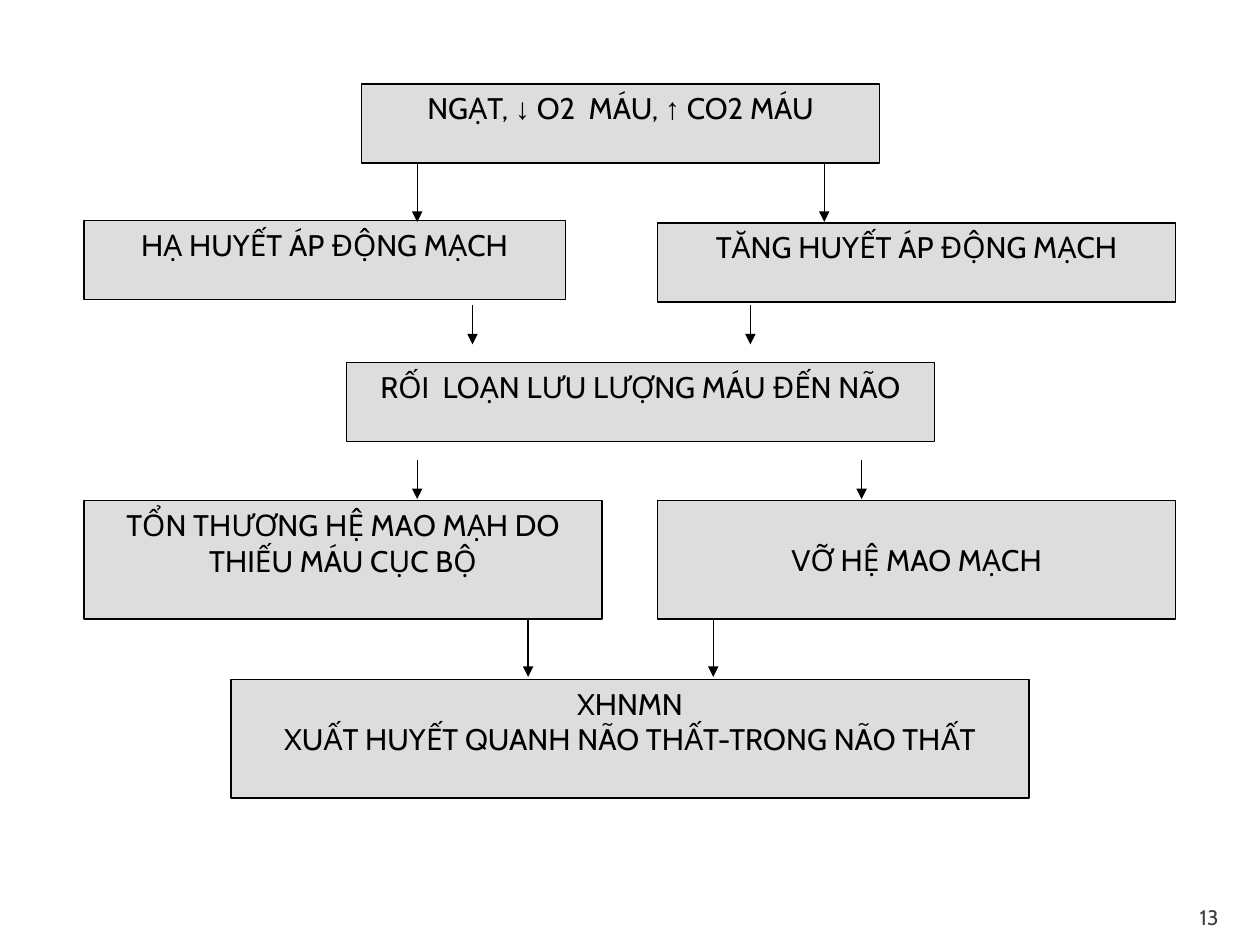
from dataclasses import dataclass

from lxml import etree
from pptx import Presentation
from pptx import util as u
from pptx.dml.color import RGBColor
from pptx.enum import shapes, text
from pptx.oxml import ns

Pt = u.Pt


def color(hex_string):
    return RGBColor.from_string(hex_string)


@dataclass
class FlowChart:
    slide: object
    font: str = "Cabin"
    symbol_font: str = "Arial"
    ink: str = "000000"
    box_fill: str = "DDDDDD"
    number_ink: str = "3F3F3F"
    text_size: float = 17
    number_size: float = 12
    line_width: float = 0.75

    def fill_text(self, frame, paragraphs, size, ink, align, anchor):
        """Each paragraph is a list of runs, each run a (words, font) pair."""
        frame.word_wrap = True
        frame.vertical_anchor = anchor
        frame.margin_left = frame.margin_right = Pt(7.2)
        frame.margin_top = frame.margin_bottom = Pt(3.6)
        for index, runs in enumerate(paragraphs):
            paragraph = frame.add_paragraph() if index else frame.paragraphs[0]
            paragraph.alignment = align
            for words, font in runs:
                run = paragraph.add_run()
                run.text = words
                run.font.name = font
                run.font.size = Pt(size)
                run.font.color.rgb = color(ink)

    def split_symbols(self, line):
        """Arrows are set in the symbol font, everything else in the main one."""
        runs = []
        for character in line:
            font = self.symbol_font if character in "↓↑" else self.font
            if runs and runs[-1][1] == font:
                runs[-1] = (runs[-1][0] + character, font)
            else:
                runs.append((character, font))
        return runs

    def box(self, left, top, width, height, lines, anchor=text.MSO_ANCHOR.TOP):
        shape = self.slide.shapes.add_shape(
            shapes.MSO_SHAPE.RECTANGLE, Pt(left), Pt(top), Pt(width), Pt(height))
        shape.shadow.inherit = False
        shape.fill.solid()
        shape.fill.fore_color.rgb = color(self.box_fill)
        shape.line.color.rgb = color(self.ink)
        shape.line.width = Pt(self.line_width)
        self.fill_text(shape.text_frame, [self.split_symbols(line) for line in lines],
                       self.text_size, self.ink, text.PP_ALIGN.CENTER, anchor)

    def down_arrow(self, x, top, bottom):
        connector = self.slide.shapes.add_connector(
            shapes.MSO_CONNECTOR.STRAIGHT, Pt(x), Pt(top), Pt(x), Pt(bottom))
        connector.line.color.rgb = color(self.ink)
        connector.line.width = Pt(self.line_width)
        properties = connector._element.spPr
        line = properties.find(ns.qn("a:ln"))
        etree.SubElement(line, ns.qn("a:tailEnd"), type="triangle")
        etree.SubElement(properties, ns.qn("a:effectLst"))

    def page_number(self, left, top, width, height, number):
        shape = self.slide.shapes.add_textbox(Pt(left), Pt(top), Pt(width), Pt(height))
        self.fill_text(shape.text_frame, [[(number, self.font)]], self.number_size,
                       self.number_ink, text.PP_ALIGN.RIGHT, text.MSO_ANCHOR.BOTTOM)
        shape.text_frame.margin_bottom = Pt(0)


def main():
    presentation = Presentation()
    presentation.slide_width, presentation.slide_height = Pt(720), Pt(540)
    chart = FlowChart(presentation.slides.add_slide(presentation.slide_layouts[6]))

    # Page number
    chart.page_number(645.8, 509.8, 57.6, 21.6, "13")

    # Boxes: two columns, single and double height
    left_column, right_column = 48, 375.8
    width, low, high = 296, 45.2, 67.8
    chart.box(206.6, 48, width, low, ["NGẠT, ↓ O2  MÁU, ↑ CO2 MÁU"])
    chart.box(left_column, 126, 275, low, ["HẠ HUYẾT ÁP ĐỘNG MẠCH"])
    chart.box(right_column, 127.4, width, low, ["TĂNG HUYẾT ÁP ĐỘNG MẠCH"])
    chart.box(198, 207.2, 336, low, ["RỐI  LOẠN LƯU LƯỢNG MÁU ĐẾN NÃO"])
    chart.box(left_column, 286, width, high,
              ["TỔN THƯƠNG HỆ MAO MẠH DO THIẾU MÁU CỤC BỘ"])
    chart.box(right_column, 286, width, high, ["VỠ HỆ MAO MẠCH"],
              text.MSO_ANCHOR.MIDDLE)
    chart.box(132, 388.2, 456, high,
              ["XHNMN", "XUẤT HUYẾT QUANH NÃO THẤT-TRONG NÃO THẤT"])

    # Arrows: one pair between each two levels
    long, short = 33.8, 22.4
    for top, length, pair in [
        (93, long, (238.4, 471)),
        (174.4, short, (270, 428.8)),
        (262.8, short, (238.4, 492.4)),
        (353, long, (301.8, 407.6)),
    ]:
        for x in pair:
            chart.down_arrow(x, top, top + length)

    presentation.save("out.pptx")


if __name__ == "__main__":
    main()
